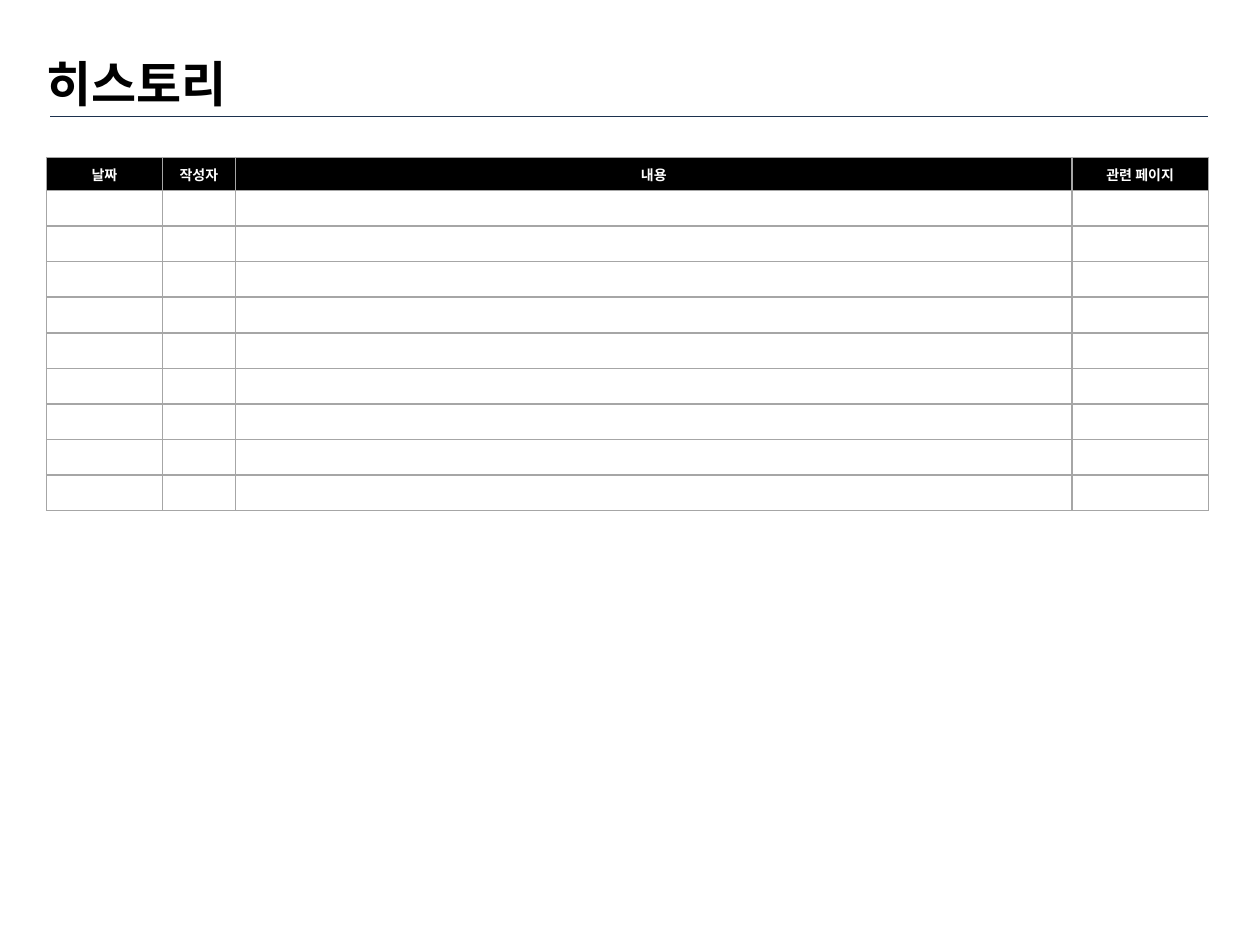
from lxml.etree import SubElement
from pptx import Presentation
from pptx.dml.color import RGBColor
from pptx.enum.shapes import MSO_CONNECTOR
from pptx.enum.text import MSO_ANCHOR, PP_ALIGN
from pptx.oxml.ns import qn
from pptx.util import Pt

FONT = "Noto Sans CJK KR"
COLORS = {
    "text": "000000",
    "header": "000000",
    "header_text": "FFFFFF",
    "body": "FFFFFF",
    "border": "A6A6A6",
    "rule": "1C314E",
}
HEADINGS = ["날짜", "작성자", "내용", "관련 페이지"]
COLUMN_WIDTHS = [66.24, 41.76, 478.08, 77.76]
HEADER_HEIGHT, ENTRY_HEIGHT, ENTRY_COUNT = 18.9, 20.35, 9


def rgb(name):
    return RGBColor.from_string(COLORS[name])


def write_text(frame, text, size, color, align=PP_ALIGN.LEFT, bold=True):
    frame.word_wrap = True
    frame.vertical_anchor = MSO_ANCHOR.MIDDLE
    paragraph = frame.paragraphs[0]
    paragraph.alignment = align
    run = paragraph.add_run()
    run.text = text
    run.font.size = Pt(size)
    run.font.bold = bold
    run.font.name = FONT
    run.font.color.rgb = rgb(color)
    # Korean glyphs take the East Asian typeface
    SubElement(run._r.get_or_add_rPr(), qn("a:ea"), typeface=FONT)


def add_borders(cell, width=1):
    properties = cell._tc.get_or_add_tcPr()
    for index, side in enumerate(("lnL", "lnR", "lnT", "lnB")):
        border = properties.makeelement(qn(f"a:{side}"), {"w": str(Pt(width))})
        fill = SubElement(border, qn("a:solidFill"))
        SubElement(fill, qn("a:srgbClr"), val=COLORS["border"])
        properties.insert(index, border)  # borders precede the fill


def add_title(slide, left, top, width, height):
    title = slide.shapes.add_textbox(Pt(left), Pt(top), Pt(width), Pt(height))
    write_text(title.text_frame, "히스토리", size=28, color="text")


def add_rule(slide, left, top, width):
    rule = slide.shapes.add_connector(
        MSO_CONNECTOR.STRAIGHT, Pt(left), Pt(top), Pt(left + width), Pt(top))
    rule.line.color.rgb = rgb("rule")
    rule.line.width = Pt(0.25)
    SubElement(rule._element.spPr, qn("a:effectLst"))


def add_history_table(slide, left, top):
    heights = [HEADER_HEIGHT] + [ENTRY_HEIGHT] * ENTRY_COUNT
    history = slide.shapes.add_table(
        len(heights), len(HEADINGS), Pt(left), Pt(top),
        Pt(sum(COLUMN_WIDTHS)), Pt(sum(heights))).table
    for column, width in zip(history.columns, COLUMN_WIDTHS):
        column.width = Pt(width)
    for row, height in zip(history.rows, heights):
        row.height = Pt(height)

    for cell in history.iter_cells():
        cell.margin_top = cell.margin_bottom = Pt(2)
        cell.fill.solid()
        cell.fill.fore_color.rgb = rgb("body")
        add_borders(cell)
        # Small end mark keeps empty rows at their set height
        SubElement(cell.text_frame.paragraphs[0]._p, qn("a:endParaRPr"), sz="800")

    # Header row
    for column, heading in enumerate(HEADINGS):
        cell = history.cell(0, column)
        cell.fill.fore_color.rgb = rgb("header")
        write_text(cell.text_frame, heading, size=8, color="header_text",
                   align=PP_ALIGN.CENTER)
        cell.vertical_anchor = MSO_ANCHOR.MIDDLE


def main():
    deck = Presentation()
    deck.slide_width, deck.slide_height = Pt(720), Pt(540)
    slide = deck.slides.add_slide(deck.slide_layouts[6])
    add_title(slide, 19.44, 12.24, 671.76, 69.84)
    add_history_table(slide, 26.64, 90)
    add_rule(slide, 28.8, 66.24, 661.68)
    deck.save("out.pptx")


if __name__ == "__main__":
    main()
